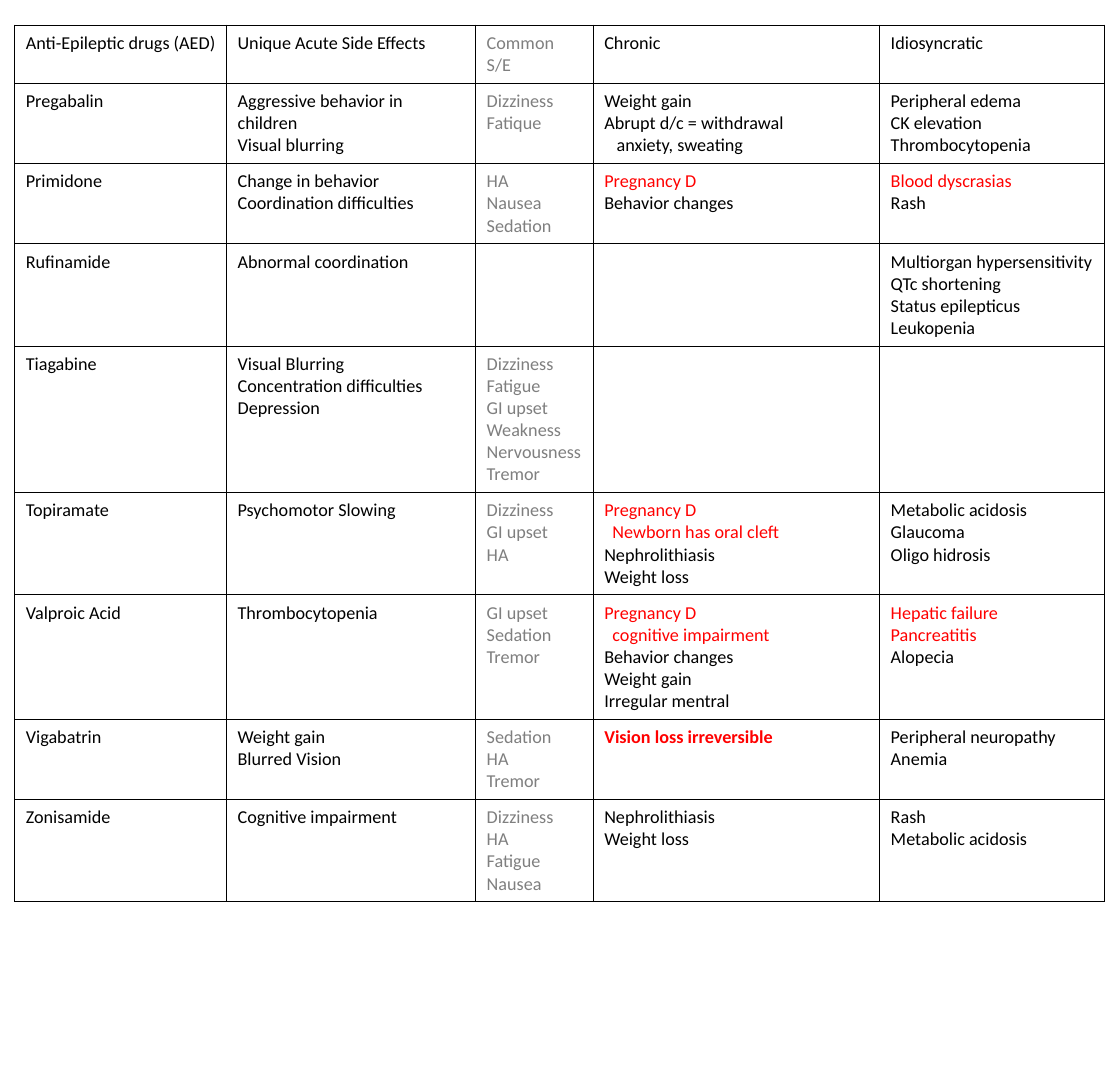
import collections

import lxml.etree
import pptx
import pptx.dml.color
import pptx.oxml.ns
import pptx.util

Pt = pptx.util.Pt
qn = pptx.oxml.ns.qn

BLACK, GRAY, RED = "000000", "7F7F7F", "FF0000"
COMMON_COLUMN = 2
COLUMN_WIDTHS = [163.4, 192.2, 90.7, 221, 173.5]
ROW_HEIGHTS = [31, 61.2, 61.2, 78.5, 111.6, 78.5, 95, 61.2, 78.5]

Line = collections.namedtuple("Line", "text color indent bold", defaults=(None, 0, False))


def red(text, indent=0, bold=False):
    return Line(text, RED, indent, bold)


ROWS = [
    [["Anti-Epileptic drugs (AED)"], ["Unique Acute Side Effects"], ["Common S/E"],
     ["Chronic"], ["Idiosyncratic"]],
    [["Pregabalin"],
     ["Aggressive behavior in children", "Visual blurring"],
     ["Dizziness", "Fatique"],
     ["Weight gain", "Abrupt d/c = withdrawal", Line("anxiety, sweating", indent=9.5)],
     ["Peripheral edema", "CK elevation", "Thrombocytopenia"]],
    [["Primidone"],
     ["Change in behavior", "Coordination difficulties"],
     ["HA", "Nausea", "Sedation"],
     [red("Pregnancy D"), "Behavior changes"],
     [red("Blood dyscrasias"), "Rash"]],
    [["Rufinamide"],
     ["Abnormal coordination"],
     [],
     [],
     ["Multiorgan hypersensitivity", "QTc shortening", "Status epilepticus", "Leukopenia"]],
    [["Tiagabine"],
     ["Visual Blurring", "Concentration difficulties", "Depression"],
     ["Dizziness", "Fatigue", "GI upset", "Weakness", "Nervousness", "Tremor"],
     [],
     []],
    [["Topiramate"],
     ["Psychomotor Slowing"],
     ["Dizziness", "GI upset", "HA"],
     [red("Pregnancy D"), red("Newborn has oral cleft", indent=6.3),
      "Nephrolithiasis", "Weight loss"],
     ["Metabolic acidosis", "Glaucoma", "Oligo hidrosis"]],
    [["Valproic Acid"],
     ["Thrombocytopenia"],
     ["GI upset", "Sedation", "Tremor"],
     [red("Pregnancy D"), red("cognitive impairment", indent=6.3),
      "Behavior changes", "Weight gain", "Irregular mentral"],
     [red("Hepatic failure"), red("Pancreatitis"), "Alopecia"]],
    [["Vigabatrin"],
     ["Weight gain", "Blurred Vision"],
     ["Sedation", "HA", "Tremor"],
     [red("Vision loss irreversible", bold=True)],
     ["Peripheral neuropathy", "Anemia"]],
    [["Zonisamide"],
     ["Cognitive impairment"],
     ["Dizziness", "HA", "Fatigue", "Nausea"],
     ["Nephrolithiasis", "Weight loss"],
     ["Rash", "Metabolic acidosis"]],
]


def rgb(color):
    return pptx.dml.color.RGBColor.from_string(color)


class PageBuilder:
    font_name = "Calibri"
    font_size = 14
    border_width = 1
    margin_x, margin_y = 8.4, 5.4

    def __init__(self, page):
        self.page = page

    def table(self, left, top, widths, heights, rows):
        frame = self.page.shapes.add_table(
            len(heights), len(widths), Pt(left), Pt(top), Pt(sum(widths)), Pt(sum(heights)))
        table = frame.table
        table.first_row = table.horz_banding = False
        for column, width in zip(table.columns, widths):
            column.width = Pt(width)
        for row, height, contents in zip(table.rows, heights, rows):
            row.height = Pt(height)
            for index, (cell, lines) in enumerate(zip(row.cells, contents)):
                self.cell(cell, lines, GRAY if index == COMMON_COLUMN else BLACK)

    def cell(self, cell, lines, color):
        cell.margin_left = cell.margin_right = Pt(self.margin_x)
        cell.margin_top = cell.margin_bottom = Pt(self.margin_y)
        cell.fill.background()
        self.borders(cell)
        frame = cell.text_frame
        frame.paragraphs[0].font.size = Pt(self.font_size)
        for index, item in enumerate(lines):
            line = Line(item) if isinstance(item, str) else item
            para = frame.add_paragraph() if index else frame.paragraphs[0]
            self.line(para, line, line.color or color)

    def line(self, para, line, color):
        para.text = line.text
        if line.indent:
            para._p.get_or_add_pPr().set("marL", str(Pt(line.indent)))
        para.font.name = self.font_name
        para.font.size = Pt(self.font_size)
        para.font.bold = line.bold
        para.font.color.rgb = rgb(color)

    def borders(self, cell):
        """Draw all four sides; the schema wants them ahead of the fill."""
        properties = cell._tc.get_or_add_tcPr()
        for position, side in enumerate(("a:lnL", "a:lnR", "a:lnT", "a:lnB")):
            border = lxml.etree.Element(qn(side), w=str(Pt(self.border_width)))
            fill = lxml.etree.SubElement(border, qn("a:solidFill"))
            lxml.etree.SubElement(fill, qn("a:srgbClr"), val=BLACK)
            properties.insert(position, border)


def main():
    deck = pptx.Presentation()
    deck.slide_width, deck.slide_height = Pt(864), Pt(828)
    page = deck.slides.add_slide(deck.slide_layouts[6])
    PageBuilder(page).table(11.5, 19.5, COLUMN_WIDTHS, ROW_HEIGHTS, ROWS)
    deck.save("out.pptx")


if __name__ == "__main__":
    main()
